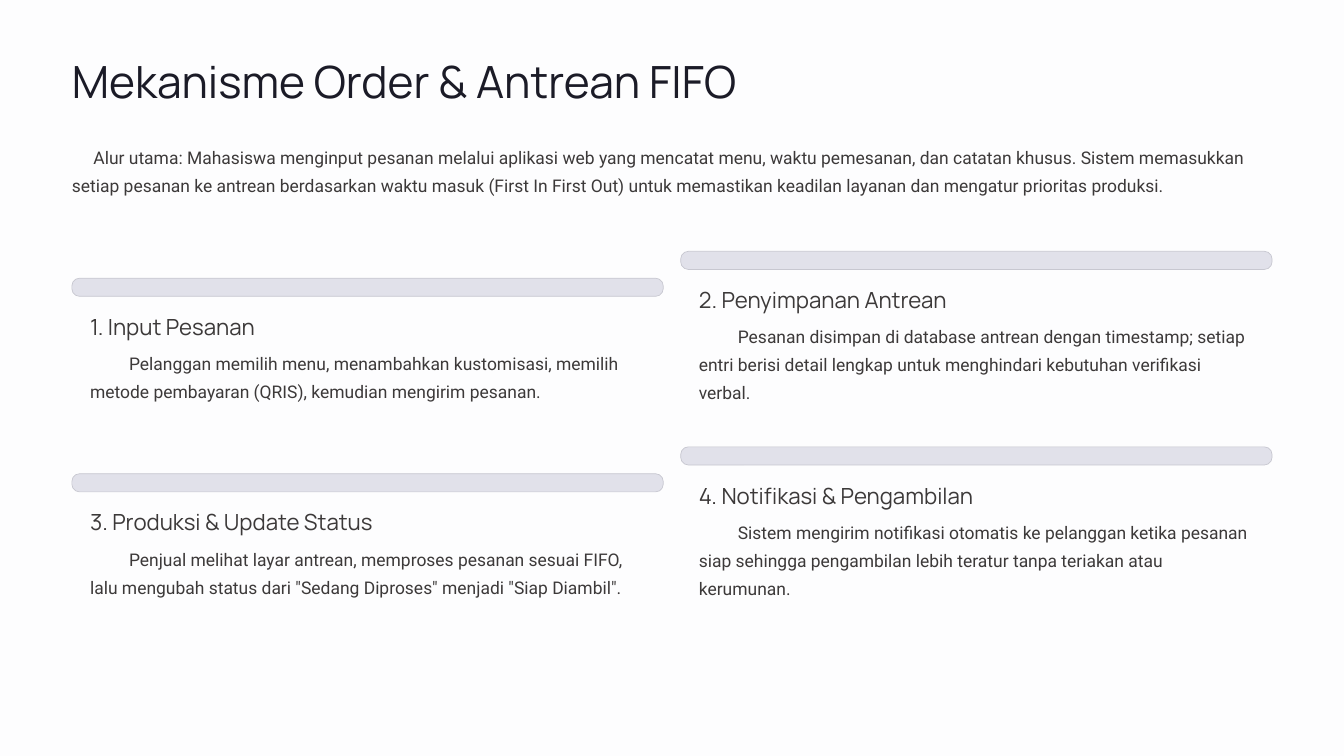
from typing import NamedTuple

from pptx import Presentation
from pptx.dml.color import RGBColor
from pptx.enum.shapes import MSO_SHAPE
from pptx.enum.text import MSO_ANCHOR
from pptx.slide import Slide
from pptx.util import Inches, Pt

PAPER = RGBColor(0xFD, 0xFD, 0xFE)
INK = RGBColor(0x1B, 0x1B, 0x27)
TEXT = RGBColor(0x3C, 0x39, 0x39)
BAR_FILL = RGBColor(0xE1, 0xE1, 0xEA)
BAR_LINE = RGBColor(0xC7, 0xC7, 0xD0)

HEADING_FONT = "Manrope"
BODY_FONT = "Roboto"

MARGIN = 1.07
FIRST_TOP = 4.14
COLUMN_STEP = 9.06
ROW_STEP = 2.91
COLUMN_RISE = 0.4
BAR_WIDTH = 8.8
BAR_HEIGHT = 0.27
PADDING = 0.27
LINE_HEIGHT = 0.43


class Step(NamedTuple):
    heading: str
    heading_width: float
    body: str
    body_height: float


STEPS = [
    Step("1. Input Pesanan", 3.34,
         "Pelanggan memilih menu, menambahkan kustomisasi, memilih metode "
         "pembayaran (QRIS), kemudian mengirim pesanan.", 0.94),
    Step("2. Penyimpanan Antrean", 3.72,
         "Pesanan disimpan di database antrean dengan timestamp; setiap entri "
         "berisi detail lengkap untuk menghindari kebutuhan verifikasi verbal.",
         0.94 + LINE_HEIGHT),
    Step("3. Produksi & Update Status", 4.25,
         "Penjual melihat layar antrean, memproses pesanan sesuai FIFO, lalu "
         'mengubah status dari "Sedang Diproses" menjadi "Siap Diambil".', 0.94),
    Step("4. Notifikasi & Pengambilan", 4.17,
         "Sistem mengirim notifikasi otomatis ke pelanggan ketika pesanan siap "
         "sehingga pengambilan lebih teratur tanpa teriakan atau kerumunan.",
         0.94 + LINE_HEIGHT),
]


def add_text(page: Slide, text: str, *, left: float, top: float, width: float,
             height: float, size: float, font: str = BODY_FONT,
             color: RGBColor = TEXT, leading: float = 30,
             indent: float = 0, wrap: bool = True) -> None:
    box = page.shapes.add_textbox(
        Inches(left), Inches(top), Inches(width), Inches(height))
    frame = box.text_frame
    frame.word_wrap = wrap
    frame.vertical_anchor = MSO_ANCHOR.TOP
    frame.margin_left = frame.margin_right = 0
    frame.margin_top = frame.margin_bottom = 0
    para = frame.paragraphs[0]
    para.line_spacing = Pt(leading)
    if indent:
        properties = para._p.get_or_add_pPr()
        properties.set("marL", "0")
        properties.set("indent", str(Inches(indent)))
    span = para.add_run()
    span.text = text
    span.font.name = font
    span.font.size = Pt(size)
    span.font.color.rgb = color


def add_bar(page: Slide, left: float, top: float) -> None:
    bar = page.shapes.add_shape(
        MSO_SHAPE.ROUNDED_RECTANGLE, Inches(left), Inches(top),
        Inches(BAR_WIDTH), Inches(BAR_HEIGHT))
    bar.adjustments[0] = 0.42
    bar.shadow.inherit = False
    bar.fill.solid()
    bar.fill.fore_color.rgb = BAR_FILL
    bar.line.color.rgb = BAR_LINE
    bar.line.width = Pt(0.75)


def add_step(page: Slide, step: Step, left: float, top: float) -> None:
    add_bar(page, left, top)
    add_text(page, step.heading, left=left + PADDING, top=top + 0.5,
             width=step.heading_width, height=0.45, size=23.8,
             font=HEADING_FONT, wrap=False)
    add_text(page, step.body, left=left + PADDING, top=top + 1.01,
             width=8.27, height=step.body_height, size=18.7, indent=0.58)


def main() -> None:
    deck = Presentation()
    deck.slide_width = Inches(20)
    deck.slide_height = Inches(11.25)
    page = deck.slides.add_slide(deck.slide_layouts[6])
    page.background.fill.solid()
    page.background.fill.fore_color.rgb = PAPER

    add_text(page, "Mekanisme Order & Antrean FIFO", left=MARGIN, top=0.77,
             width=10.28, height=0.88, size=47.5, font=HEADING_FONT,
             color=INK, leading=60, wrap=False)
    add_text(page,
             "Alur utama: Mahasiswa menginput pesanan melalui aplikasi web yang "
             "mencatat menu, waktu pemesanan, dan catatan khusus. Sistem "
             "memasukkan setiap pesanan ke antrean berdasarkan waktu masuk "
             "(First In First Out) untuk memastikan keadilan layanan dan "
             "mengatur prioritas produksi.",
             left=MARGIN, top=2.08, width=17.86, height=1.37, size=18.7,
             indent=0.32)

    for index, step in enumerate(STEPS):
        row, column = divmod(index, 2)
        add_step(page, step, MARGIN + column * COLUMN_STEP,
                 FIRST_TOP + row * ROW_STEP - column * COLUMN_RISE)

    deck.save("out.pptx")


if __name__ == "__main__":
    main()
